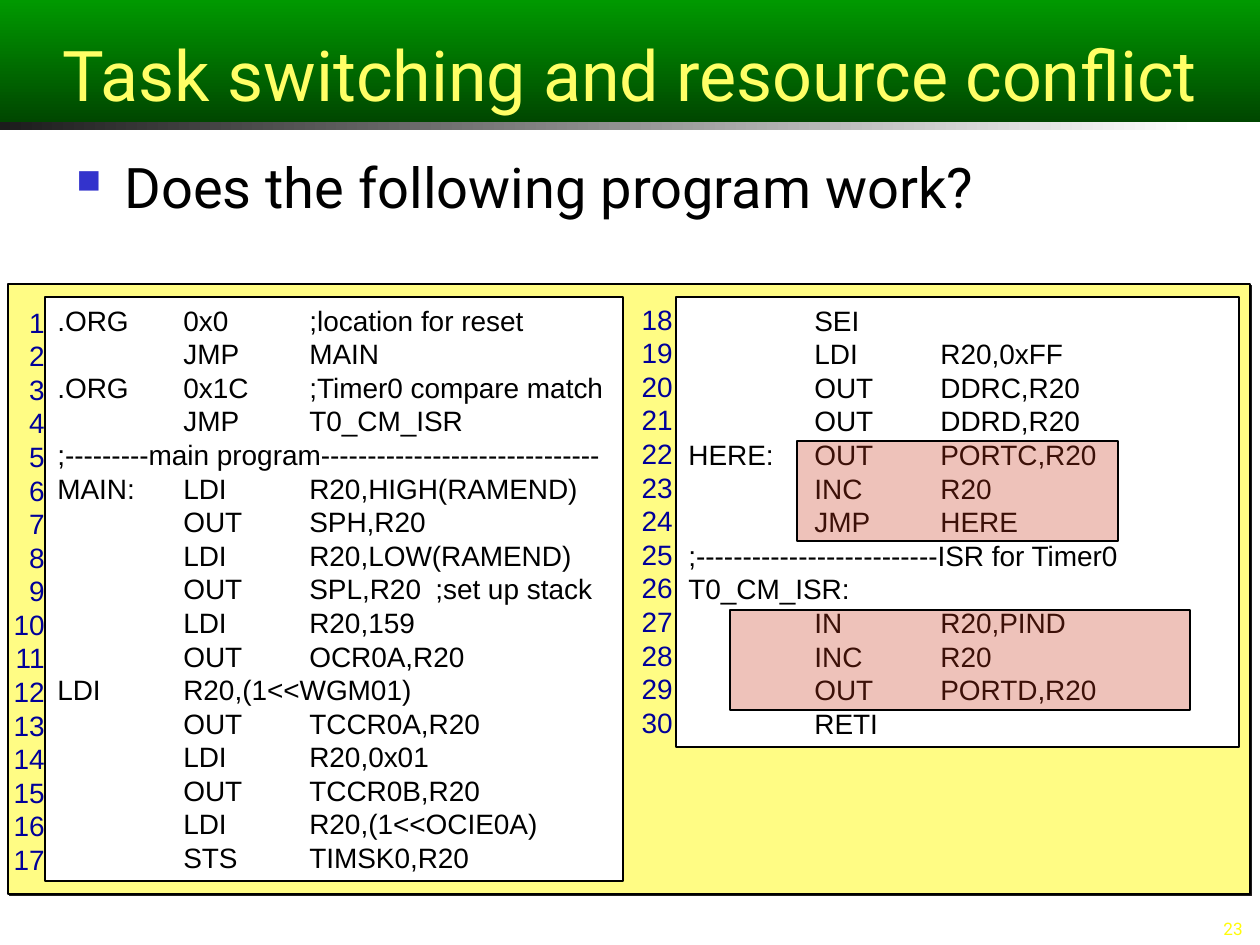
from lxml.etree import SubElement
from pptx import Presentation
from pptx.dml.color import RGBColor
from pptx.enum.shapes import MSO_SHAPE
from pptx.enum.text import MSO_ANCHOR, MSO_AUTO_SIZE, PP_ALIGN
from pptx.oxml.ns import qn
from pptx.util import Emu, Inches, Pt

TITLE = "Task switching and resource conflict"
QUESTION = "Does the following program work?"
PAGE_NUMBER = "23"
MAIN_CODE = [
    ".ORG\t0x0\t;location for reset",
    "\tJMP\tMAIN",
    ".ORG\t0x1C\t;Timer0 compare match",
    "\tJMP\tT0_CM_ISR",
    ";---------main program------------------------------",
    "MAIN:\tLDI\tR20,HIGH(RAMEND)",
    "\tOUT\tSPH,R20",
    "\tLDI\tR20,LOW(RAMEND)",
    "\tOUT\tSPL,R20\t;set up stack",
    "\tLDI\tR20,159",
    "\tOUT\tOCR0A,R20",
    "LDI\tR20,(1<<WGM01)",
    "\tOUT\tTCCR0A,R20",
    "\tLDI\tR20,0x01",
    "\tOUT\tTCCR0B,R20",
    "\tLDI\tR20,(1<<OCIE0A)",
    "\tSTS\tTIMSK0,R20",
]
LOOP_CODE = [
    "\tSEI",
    "\tLDI\tR20,0xFF",
    "\tOUT\tDDRC,R20",
    "\tOUT\tDDRD,R20",
    "HERE:\tOUT\tPORTC,R20",
    "\tINC\tR20",
    "\tJMP\tHERE",
    ";--------------------------ISR for Timer0",
    "T0_CM_ISR:",
    "\tIN\tR20,PIND",
    "\tINC\tR20",
    "\tOUT\tPORTD,R20",
    "\tRETI",
]
LISTINGS = [
    (MAIN_CODE, 1, (45, 297, 578, 584), (7, 299, 50, 584)),
    (LOOP_CODE, 18, (676, 297, 563, 450), (635, 296, 50, 450)),
]
HIGHLIGHTS = [(730, 610, 460, 100), (797, 441, 321, 100)]
CODE_LINE_PITCH = Pt(19.2)
TAB_STOPS = [Inches(1), Inches(2), Inches(3)]


def px(value):
    return Emu(round(value * 914400 / 126))


def rgb(color):
    return RGBColor.from_string(color)


def place(shape, box):
    shape.left, shape.top, shape.width, shape.height = map(px, box)


def set_gradient(shape, start, end, angle):
    shape.fill.gradient()
    shape.fill.gradient_angle = angle
    for stop, color, position in zip(shape.fill.gradient_stops, (start, end), (0, 1)):
        stop.color.rgb = rgb(color)
        stop.position = position


def add_rectangle(slide, box, color=None):
    shape = slide.shapes.add_shape(MSO_SHAPE.RECTANGLE, *map(px, box))
    shape.shadow.inherit = False
    if color:
        shape.fill.solid()
        shape.fill.fore_color.rgb = rgb(color)
        shape.line.color.rgb = rgb("000000")
        shape.line.width = Pt(0.75)
    else:
        shape.line.fill.background()
    return shape


def style(paragraph, size, color, font="Roboto", align=PP_ALIGN.LEFT):
    paragraph.alignment = align
    paragraph.font.size = Pt(size)
    paragraph.font.name = font
    paragraph.font.color.rgb = rgb(color)


def add_text_box(slide, box):
    shape = slide.shapes.add_textbox(*map(px, box))
    shape.text_frame.word_wrap = True
    return shape


def add_tabs(paragraph):
    tab_list = SubElement(paragraph._p.get_or_add_pPr(), qn("a:tabLst"))
    for position in TAB_STOPS:
        SubElement(tab_list, qn("a:tab"), pos=str(position), algn="l")


def write_lines(shape, lines, color, align):
    frame = shape.text_frame
    frame.word_wrap = True
    frame.vertical_anchor = MSO_ANCHOR.TOP
    frame.text = "\n".join(lines)
    for paragraph in frame.paragraphs:
        add_tabs(paragraph)
        paragraph.line_spacing = CODE_LINE_PITCH
        style(paragraph, 16, color, "Arial", align)


def add_title(slide):
    title = slide.shapes.title
    place(title, (0, 0, 1260, 122))
    set_gradient(title, "009900", "004700", 270)
    frame = title.text_frame
    frame.text = TITLE
    frame.auto_size = MSO_AUTO_SIZE.NONE
    frame.vertical_anchor = MSO_ANCHOR.BOTTOM
    style(frame.paragraphs[0], 40, "FFFF66", align=PP_ALIGN.CENTER)


def add_question(slide):
    frame = add_text_box(slide, (64, 146, 1145, 79)).text_frame
    frame.text = QUESTION
    paragraph = frame.paragraphs[0]
    properties = paragraph._p.get_or_add_pPr()
    properties.set("marL", str(px(48)))
    properties.set("indent", str(px(-48)))
    bullet_color = SubElement(properties, qn("a:buClr"))
    SubElement(bullet_color, qn("a:srgbClr"), val="3333CC")
    SubElement(properties, qn("a:buSzPct"), val="60000")
    SubElement(properties, qn("a:buChar"), char="■")
    style(paragraph, 32, "000000")


def add_panel(slide):
    panel = add_rectangle(slide, (8, 284, 1242, 610), "FFFC84")
    effects = panel._element.spPr.find(qn("a:effectLst"))
    shadow = SubElement(effects, qn("a:outerShdw"), dist=str(Pt(1.4)), dir="2700000")
    SubElement(shadow, qn("a:srgbClr"), val="1C1C1C")


def add_page_number(slide):
    frame = add_text_box(slide, (987, 910, 268, 35)).text_frame
    frame.vertical_anchor = MSO_ANCHOR.BOTTOM
    frame.text = PAGE_NUMBER
    paragraph = frame.paragraphs[0]
    paragraph.line_spacing = 0.8
    style(paragraph, 9.8, "FFFB0B", align=PP_ALIGN.RIGHT)


def main():
    presentation = Presentation()
    presentation.slide_width, presentation.slide_height = px(1260), px(945)
    slide = presentation.slides.add_slide(presentation.slide_layouts[5])

    set_gradient(add_rectangle(slide, (0, 122, 1198, 8)), "1C1C1C", "FFFFFF", 0)
    add_page_number(slide)
    add_panel(slide)
    add_title(slide)
    add_question(slide)

    for code, first_number, code_box, number_box in LISTINGS:
        listing = add_rectangle(slide, code_box, "FFFFFF")
        write_lines(listing, code, "000000", PP_ALIGN.LEFT)
        numbers = add_text_box(slide, number_box)
        numbers.text_frame.margin_left = 0
        labels = [str(first_number + row) for row in range(len(code))]
        write_lines(numbers, labels, "000099", PP_ALIGN.RIGHT)

    for box in HIGHLIGHTS:
        highlight = add_rectangle(slide, box, "C9381B")
        color = highlight._element.spPr.find(qn("a:solidFill"))[0]
        SubElement(color, qn("a:alpha"), val="30000")

    presentation.save("out.pptx")


if __name__ == "__main__":
    main()
